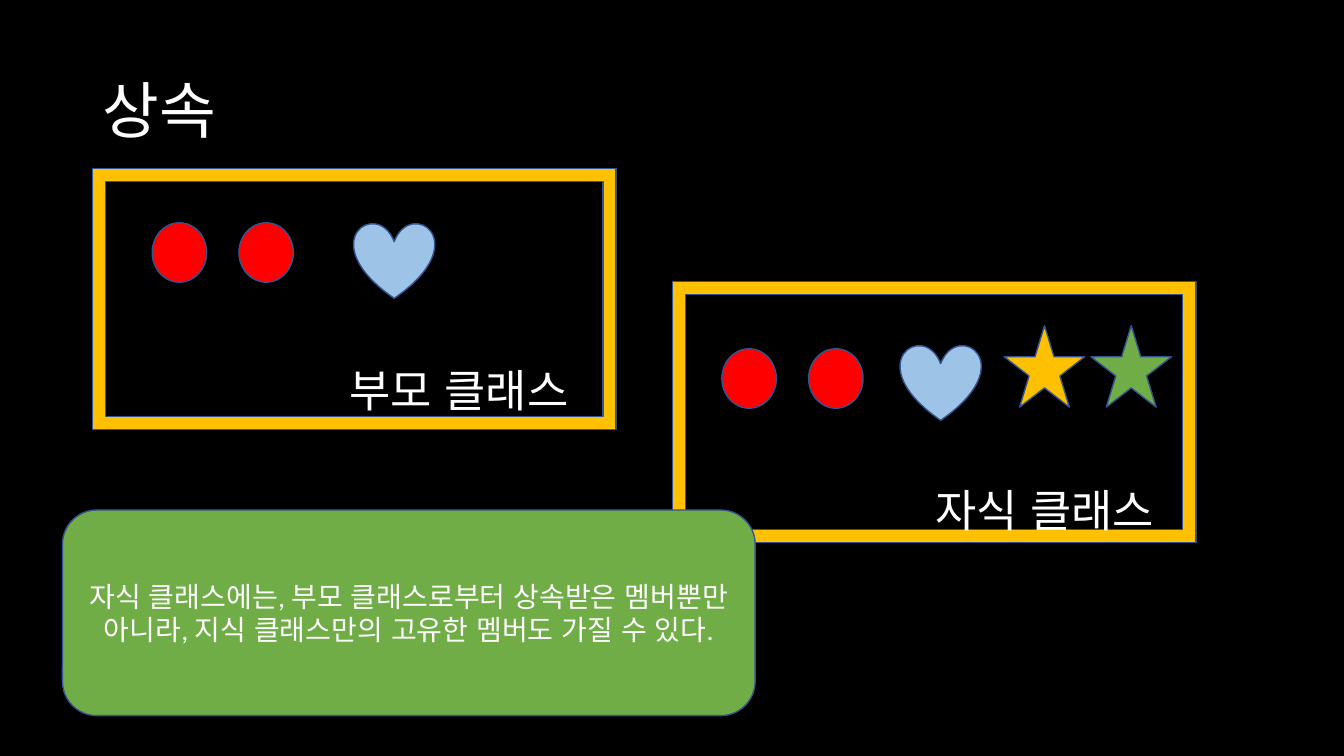
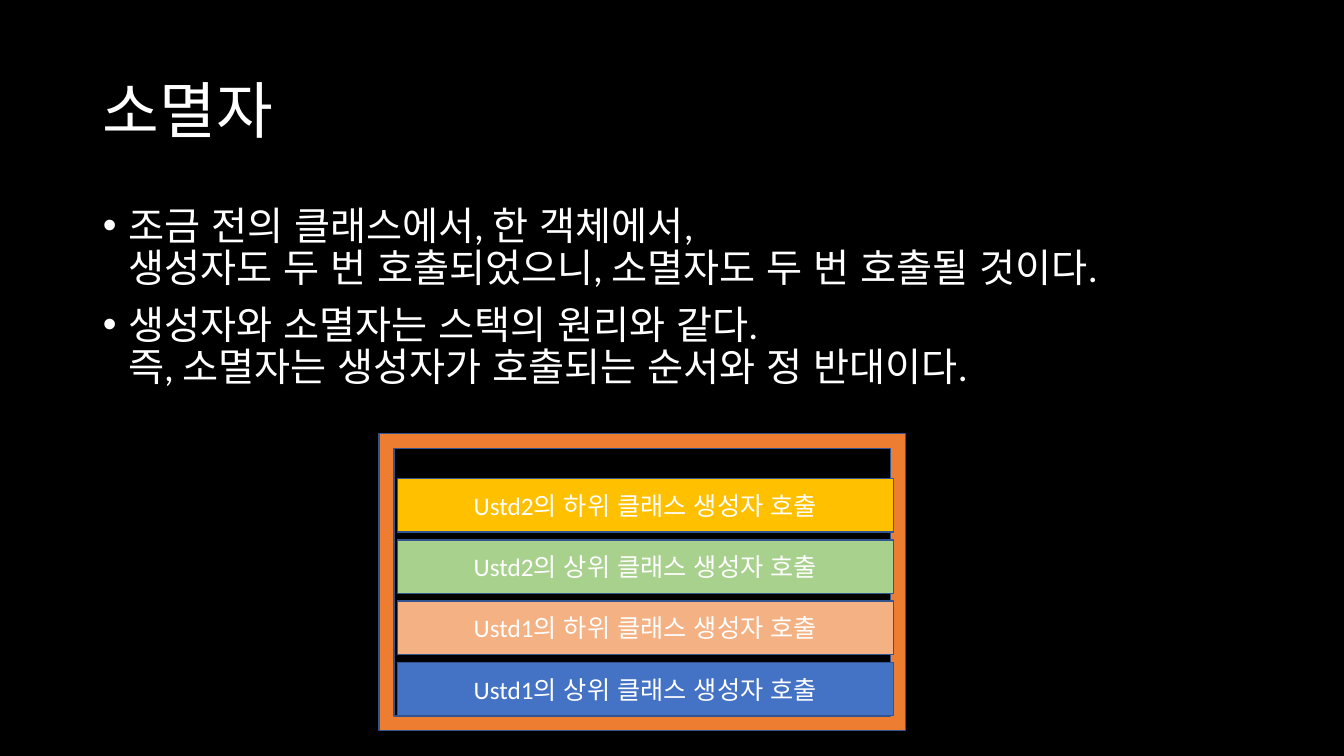
"""Build two slides on class inheritance and destructor order."""
from dataclasses import dataclass

from pptx import Presentation
from pptx.dml.color import RGBColor
from pptx.enum.lang import MSO_LANGUAGE_ID as Language
from pptx.enum.shapes import MSO_SHAPE as Shape
from pptx.enum.text import MSO_ANCHOR as Anchor, MSO_AUTO_SIZE as AutoSize, PP_ALIGN as Align
from pptx.util import Inches, Pt


@dataclass(frozen=True)
class Theme:
    font: str = "Calibri"
    background: str = "000000"
    text: str = "FFFFFF"
    outline: str = "325491"
    red: str = "FF0000"
    gold: str = "FFC000"
    sky: str = "9DC3E6"
    green: str = "70AD47"
    light_green: str = "A9D18E"
    orange: str = "ED7D31"
    peach: str = "F4B183"
    blue: str = "4472C4"
    title_size: int = 44
    label_size: int = 32
    body_size: int = 28
    note_size: int = 20
    call_size: int = 18


THEME = Theme()
TITLE_ONLY, TITLE_AND_BODY = 5, 1
TITLE_BOX = (0.92, 0.4, 11.5, 1.45)
BODY_BOX = (0.92, 2, 11.5, 4.76)

CLASS_SIZE = (5.19, 2.59)
LABEL_SIZE = (2.91, 0.64)
MEMBER_KINDS = {
    "field": (Shape.OVAL, (0.54, 0.59)),
    "method": (Shape.HEART, (0.8, 0.75)),
    "own": (Shape.STAR_5_POINT, (0.8, 0.81)),
}
CLASSES = [
    {
        "name": "부모 클래스", "at": (0.92, 1.67), "label_at": (3.37, 3.55),
        "members": [
            ("field", THEME.red, (1.51, 2.21)),
            ("field", THEME.red, (2.37, 2.21)),
            ("method", THEME.sky, (3.51, 2.21)),
        ],
    },
    {
        "name": "자식 클래스", "at": (6.67, 2.79), "label_at": (9.18, 4.74),
        "members": [
            ("field", THEME.red, (7.16, 3.46)),
            ("field", THEME.red, (8.02, 3.46)),
            ("method", THEME.sky, (8.93, 3.42)),
            ("own", THEME.gold, (9.96, 3.23)),
            ("own", THEME.green, (10.82, 3.23)),
        ],
    },
]
NOTE = "자식 클래스에는, 부모 클래스로부터 상속받은 멤버뿐만 아니라, 지식 클래스만의 고유한 멤버도 가질 수 있다."
NOTE_BOX = (0.62, 5.06, 6.87, 2.04)

DESTRUCTOR_POINTS = [
    ("조금 전의 클래스에서, 한 객체에서,", "생성자도 두 번 호출되었으니, 소멸자도 두 번 호출될 것이다."),
    ("생성자와 소멸자는 스택의 원리와 같다.", "즉, 소멸자는 생성자가 호출되는 순서와 정 반대이다."),
]
STACK_BOX = (3.76, 4.3, 5.22, 2.95)
CALL_LEFT, CALL_WIDTH, CALL_HEIGHT = 3.94, 4.92, 0.53
FIRST_CALL_TOP, LAST_CALL_TOP = 4.75, 6.57
CALLS = [
    ("Ustd2의 하위 클래스 생성자 호출", THEME.gold),
    ("Ustd2의 상위 클래스 생성자 호출", THEME.light_green),
    ("Ustd1의 하위 클래스 생성자 호출", THEME.peach),
    ("Ustd1의 상위 클래스 생성자 호출", THEME.blue),
]


def color(value):
    return RGBColor.from_string(value)


def inches(box):
    return [Inches(length) for length in box]


def format_text(text_frame, size, align=Align.LEFT):
    for paragraph in text_frame.paragraphs:
        paragraph.alignment = align
        for run in paragraph.runs:
            run.font.name = THEME.font
            run.font.size = Pt(size)
            run.font.color.rgb = color(THEME.text)
            run.font.language_id = Language.KOREAN


def place(shape, box):
    shape.left, shape.top, shape.width, shape.height = inches(box)


def add_slide(presentation, layout, title):
    slide = presentation.slides.add_slide(presentation.slide_layouts[layout])
    heading = slide.shapes.title
    place(heading, TITLE_BOX)
    heading.text_frame.text = title
    heading.text_frame.vertical_anchor = Anchor.MIDDLE
    heading.text_frame.paragraphs[0].line_spacing = 0.9
    format_text(heading.text_frame, THEME.title_size)
    return slide


def add_figure(slide, kind, box, fill, text="", size=THEME.call_size):
    shape = slide.shapes.add_shape(kind, *inches(box))
    shape.shadow.inherit = False
    shape.fill.solid()
    shape.fill.fore_color.rgb = color(fill)
    shape.line.color.rgb = color(THEME.outline)
    shape.line.width = Pt(1)
    if text:
        shape.text_frame.text = text
        shape.text_frame.word_wrap = True
        shape.text_frame.vertical_anchor = Anchor.MIDDLE
        format_text(shape.text_frame, size, Align.CENTER)
    return shape


def add_frame(slide, box, fill):
    add_figure(slide, Shape.FRAME, box, fill).adjustments[0] = 0.05


def add_label(slide, text, box):
    label = slide.shapes.add_textbox(*inches(box))
    label.text_frame.text = text
    label.text_frame.word_wrap = True
    label.text_frame.auto_size = AutoSize.SHAPE_TO_FIT_TEXT
    format_text(label.text_frame, THEME.label_size)


def fill_body(body, points):
    place(body, BODY_BOX)
    body.text_frame.text = "\n".join("\v".join(lines) for lines in points)
    for paragraph in body.text_frame.paragraphs:
        paragraph.line_spacing = 0.9
        paragraph.space_before = Pt(10)
        properties = paragraph._p.get_or_add_pPr()
        properties.set("marL", str(Inches(0.25)))
        properties.set("indent", str(Inches(-0.25)))
    format_text(body.text_frame, THEME.body_size)


def build_inheritance(presentation):
    slide = add_slide(presentation, TITLE_ONLY, "상속")
    for group in CLASSES:
        add_frame(slide, group["at"] + CLASS_SIZE, THEME.gold)
        for kind, fill, position in group["members"]:
            preset, size = MEMBER_KINDS[kind]
            add_figure(slide, preset, position + size, fill)
        add_label(slide, group["name"], group["label_at"] + LABEL_SIZE)
    add_figure(slide, Shape.ROUNDED_RECTANGLE, NOTE_BOX, THEME.green, NOTE, THEME.note_size)


def build_destructor(presentation):
    slide = add_slide(presentation, TITLE_AND_BODY, "소멸자")
    fill_body(slide.placeholders[1], DESTRUCTOR_POINTS)
    add_frame(slide, STACK_BOX, THEME.orange)
    pitch = (LAST_CALL_TOP - FIRST_CALL_TOP) / (len(CALLS) - 1)
    for index, (text, fill) in enumerate(CALLS):
        box = (CALL_LEFT, FIRST_CALL_TOP + index * pitch, CALL_WIDTH, CALL_HEIGHT)
        add_figure(slide, Shape.RECTANGLE, box, fill, text)


def main():
    presentation = Presentation()
    presentation.slide_width, presentation.slide_height = inches((13.33, 7.5))
    background = presentation.slide_master.background.fill
    background.solid()
    background.fore_color.rgb = color(THEME.background)
    build_inheritance(presentation)
    build_destructor(presentation)
    presentation.save("out.pptx")


if __name__ == "__main__":
    main()
